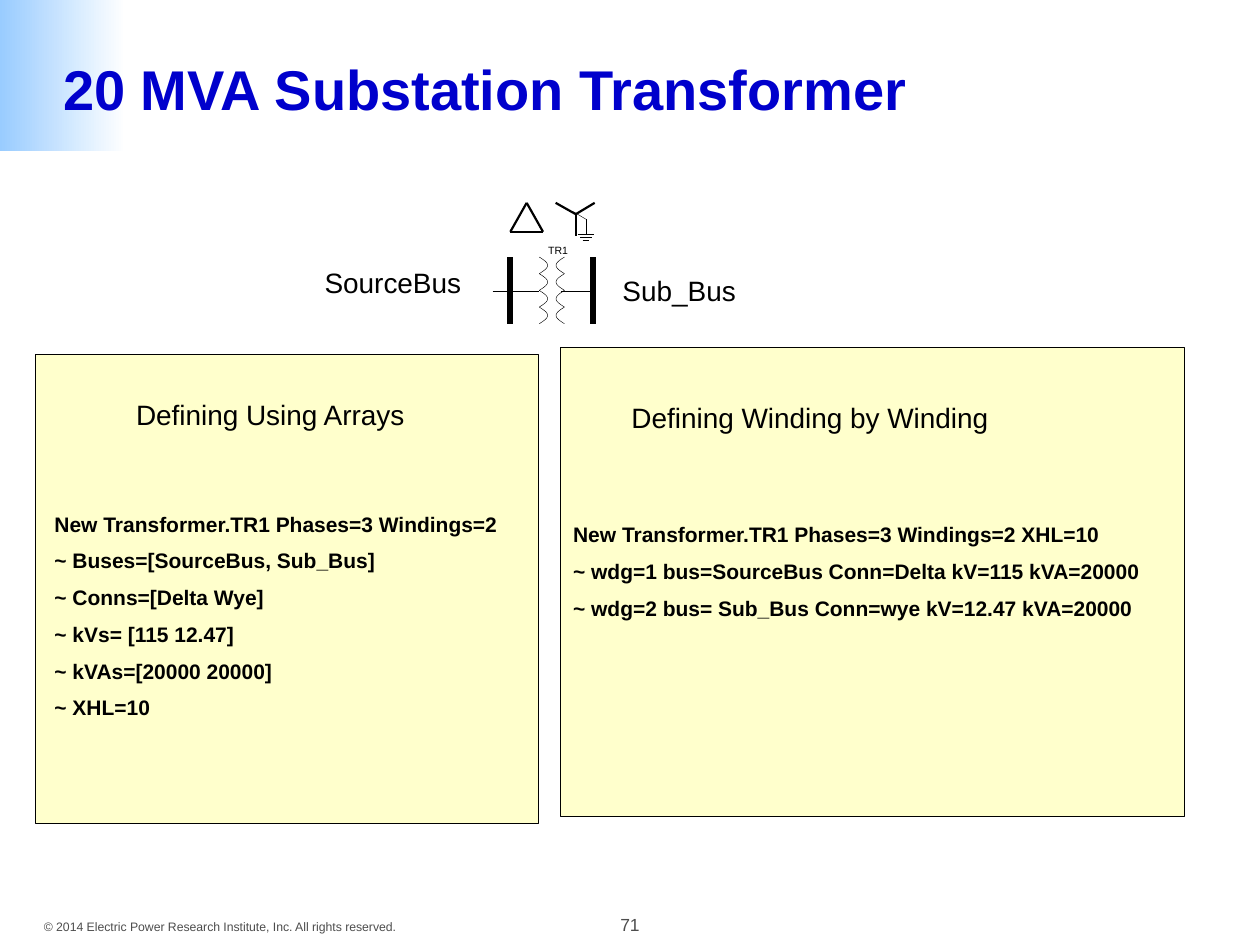
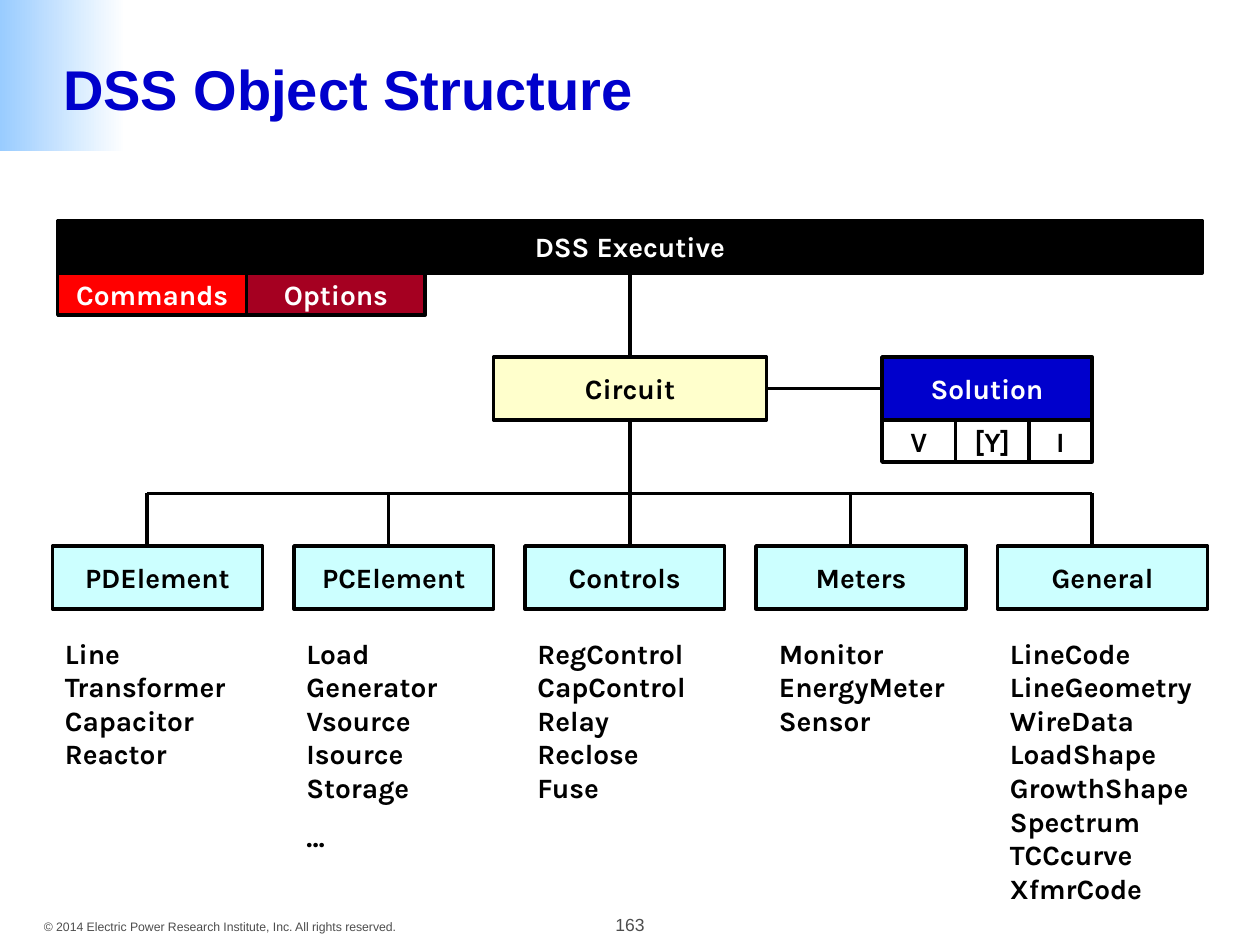
from math import pi, sin
from typing import NamedTuple, Optional

from lxml.etree import SubElement
from pptx import Presentation
from pptx.dml.color import RGBColor
from pptx.enum.shapes import MSO_CONNECTOR, MSO_SHAPE
from pptx.enum.text import MSO_ANCHOR, PP_ALIGN
from pptx.oxml.ns import qn
from pptx.util import Emu, Inches, Pt

COLUMNS, ROWS = 120, 90
SLIDE_WIDTH, SLIDE_HEIGHT = Inches(10), Inches(7.5)

COLORS = {
    "white": "FFFFFF", "black": "000000", "sky": "99CCFF", "title": "0000CC",
    "footer": "4D4D4D", "cream": "FFFFCC", "aqua": "CCFFFF",
    "red": "FF0000", "crimson": "A50021",
}
COPYRIGHT = "© 2014 Electric Power Research Institute, Inc. All rights reserved."


class Area(NamedTuple):
    """A rectangle in grid columns and rows."""
    left: float
    top: float
    width: float
    height: float


class Style(NamedTuple):
    size: float
    font: str = "Arial"
    color: str = "black"
    bold: bool = False
    align: PP_ALIGN = PP_ALIGN.LEFT
    space_before: float = 0


class Box(NamedTuple):
    text: str
    area: Area
    fill: Optional[str]
    color: str = "black"


class Label(NamedTuple):
    text: str
    area: Area
    style: Style
    wrap: bool = True
    inset: bool = True


class Line(NamedTuple):
    x1: float
    y1: float
    x2: float
    y2: float
    weight: float


class ObjectClass(NamedTuple):
    """A class box, the column of its drop line and the list of its members."""
    name: str
    left: float
    width: float
    drop: Optional[float]
    list_left: float
    list_width: float
    members: list[str]
    more: str = ""


def column(value: float) -> Emu:
    return Emu(round(SLIDE_WIDTH * value / COLUMNS))


def row(value: float) -> Emu:
    return Emu(round(SLIDE_HEIGHT * value / ROWS))


def place(area: Area) -> tuple[Emu, Emu, Emu, Emu]:
    return column(area.left), row(area.top), column(area.width), row(area.height)


def color(name: str) -> RGBColor:
    return RGBColor.from_string(COLORS[name])


def write(text_frame, text: str, style: Style) -> None:
    text_frame.text = text
    for index, paragraph in enumerate(text_frame.paragraphs):
        paragraph.alignment = style.align
        paragraph.space_before = Pt(style.space_before if index else 0)
        for run in paragraph.runs:
            run.font.name = style.font
            run.font.size = Pt(style.size)
            run.font.bold = style.bold
            run.font.color.rgb = color(style.color)


def add_label(slide, label: Label):
    shape = slide.shapes.add_textbox(*place(label.area))
    text_frame = shape.text_frame
    text_frame.word_wrap = label.wrap
    if not label.inset:
        text_frame.margin_left = text_frame.margin_right = 0
        text_frame.margin_top = text_frame.margin_bottom = 0
    write(text_frame, label.text, label.style)
    return shape


def add_rectangle(slide, area: Area, fill: Optional[str], weight: float):
    shape = slide.shapes.add_shape(MSO_SHAPE.RECTANGLE, *place(area))
    shape.shadow.inherit = False
    if fill:
        shape.fill.solid()
        shape.fill.fore_color.rgb = color(fill)
    else:
        shape.fill.background()
    shape.line.color.rgb = color("black")
    shape.line.width = Pt(weight)
    return shape


def add_box(slide, box: Box):
    shape = add_rectangle(slide, box.area, box.fill, 2)
    text_frame = shape.text_frame
    text_frame.word_wrap = False
    text_frame.vertical_anchor = MSO_ANCHOR.MIDDLE
    write(text_frame, box.text, Style(16, "Karla", box.color, True, PP_ALIGN.CENTER))
    return shape


def add_line(slide, line: Line):
    connector = slide.shapes.add_connector(
        MSO_CONNECTOR.STRAIGHT,
        column(line.x1), row(line.y1), column(line.x2), row(line.y2))
    connector.line.color.rgb = color("black")
    connector.line.width = Pt(line.weight)
    SubElement(connector.element.spPr, qn("a:effectLst"))
    return connector


def add_coil(slide, x: float, top: float, bottom: float, bulge: float) -> None:
    """Draw a winding as four half-turns that swell to one side of x."""
    turns, steps = 4, 16
    points = [
        (column(x + bulge * abs(sin(pi * step / steps))),
         row(top + (bottom - top) * step / (turns * steps)))
        for step in range(turns * steps + 1)
    ]
    builder = slide.shapes.build_freeform(*points[0], scale=1.0)
    builder.add_line_segments(points[1:], close=False)
    shape = builder.convert_to_shape()
    shape.shadow.inherit = False
    shape.fill.background()
    shape.line.color.rgb = color("black")
    shape.line.width = Pt(0.25)


def add_slide(presentation, title: str, number: int):
    """Add a slide with the corner band, title and footer."""
    slide = presentation.slides.add_slide(presentation.slide_layouts[5])
    band = slide.shapes.add_shape(MSO_SHAPE.RECTANGLE, *place(Area(0, 0, 12, 14.4)))
    band.shadow.inherit = False
    band.line.fill.background()
    band.fill.gradient()
    band.fill.gradient_angle = 0
    for stop, name in zip(band.fill.gradient_stops, ("sky", "white")):
        stop.color.rgb = color(name)

    heading = slide.shapes.title
    heading.element.addprevious(band.element)
    heading.left, heading.top, heading.width, heading.height = place(
        Area(4.8, 2.4, 110.4, 12))
    heading.text_frame.vertical_anchor = MSO_ANCHOR.MIDDLE
    write(heading.text_frame, title, Style(32, color="title", bold=True))

    add_label(slide, Label(str(number), Area(56, 86.5, 8, 3.25),
                           Style(10, color="footer", align=PP_ALIGN.CENTER)))
    add_label(slide, Label(COPYRIGHT, Area(3, 87, 36.25, 2.6),
                           Style(7, color="footer"), wrap=False))
    return slide


def add_transformer_symbol(slide) -> None:
    top, bottom, axis = 24.48, 30.84, 27.72
    source_bar, sub_bar = 48.6, 56.52
    primary, secondary = 51.36, 53.76
    hub_x, hub_y = 54.84, 20.4
    ground_x, ground_y = 55.8, 22.32
    delta = [(48.6, 22.08), (51.72, 22.08), (50.16, 19.32)]
    wye_tips = [(hub_x, 22.44), (56.64, 19.32), (52.92, 19.32)]

    lines = [Line(x, top, x, bottom, 3.38) for x in (source_bar, sub_bar)]
    lines += [Line(x1, axis, x2, axis, 0.25) for x1, x2 in (
        (46.92, source_bar), (source_bar, primary), (sub_bar, 53.4))]
    lines += [Line(*start, *end, 1.25)
              for start, end in zip(delta, delta[1:] + delta[:1])]
    lines += [Line(hub_x, hub_y, *tip, 1.25) for tip in wye_tips]
    lines += [Line(ground_x, 20.88, 54.6, 20.16, 0.25),
              Line(ground_x, 20.88, ground_x, ground_y, 0.25)]
    for index, half_width in enumerate((0.78, 0.54, 0.3)):
        y = ground_y + 0.3 * index
        lines.append(Line(ground_x - half_width, y, ground_x + half_width, y, 0.25))
    for line in lines:
        add_line(slide, line)

    add_coil(slide, primary, top, bottom, 0.8)
    add_coil(slide, secondary, top, bottom, -0.8)
    add_label(slide, Label("TR1", Area(52.2, 23.28, 1.92, 1.2),
                           Style(6, align=PP_ALIGN.CENTER), wrap=False, inset=False))


def build_transformer_slide(presentation) -> None:
    slide = add_slide(presentation, "20 MVA Substation Transformer", 71)
    for panel in (Area(53.4, 33.1, 59.4, 44.7), Area(3.4, 33.75, 47.9, 44.7)):
        add_rectangle(slide, panel, "cream", 0.75)
    add_transformer_symbol(slide)

    code = Style(12, bold=True, space_before=6.6)
    heading = Style(16, align=PP_ALIGN.CENTER)
    array_code = "\n".join([
        "New Transformer.TR1 Phases=3 Windings=2",
        "~ Buses=[SourceBus, Sub_Bus]",
        "~ Conns=[Delta Wye]",
        "~ kVs= [115 12.47]",
        "~ kVAs=[20000 20000]",
        "~ XHL=10",
    ])
    winding_code = "\n".join([
        "New Transformer.TR1 Phases=3 Windings=2 XHL=10",
        "~ wdg=1 bus=SourceBus Conn=Delta kV=115 kVA=20000",
        "~ wdg=2 bus= Sub_Bus Conn=wye kV=12.47 kVA=20000",
    ])
    for label in (
        Label(array_code, Area(4, 48.1, 54.4, 25.2), code),
        Label(winding_code, Area(53.4, 49.1, 62.3, 14.4), code),
        Label("Defining Using Arrays", Area(5.6, 37.3, 40.3, 4.4), heading),
        Label("Defining Winding by Winding", Area(57, 37.6, 40.3, 4.4), heading),
        Label("Sub_Bus", Area(58.1, 25.45, 22.9, 4.4), Style(16)),
        Label("SourceBus", Area(22.2, 24.7, 22.9, 4.4),
              Style(16, align=PP_ALIGN.RIGHT)),
    ):
        add_label(slide, label)


def build_structure_slide(presentation) -> None:
    slide = add_slide(presentation, "DSS Object Structure", 163)
    executive = add_box(slide, Box("DSS Executive", Area(5.5, 21, 109, 5), "black", "white"))
    circuit = add_box(slide, Box("Circuit", Area(47, 34, 26, 6), "cream"))
    solution = add_box(slide, Box("Solution", Area(84, 34, 20, 6), "title", "white"))
    for box in (
        Box("Commands", Area(5.5, 26, 18, 4), "red", "white"),
        Box("Options", Area(23.5, 26, 17, 4), "crimson", "white"),
        Box("V", Area(84, 40, 7, 4), None),
        Box("[Y]", Area(91, 40, 7, 4), None),
        Box("I", Area(98, 40, 6, 4), None),
    ):
        add_box(slide, box)

    classes = [
        ObjectClass("PDElement", 5, 20, 14, 5, 20,
                    ["Line", "Transformer", "Capacitor", "Reactor"]),
        ObjectClass("PCElement", 28, 19, 37, 28, 20,
                    ["Load", "Generator", "Vsource", "Isource", "Storage"], "…"),
        ObjectClass("Controls", 50, 19, None, 50, 20,
                    ["RegControl", "CapControl", "Relay", "Reclose", "Fuse"]),
        ObjectClass("Meters", 72, 20, 81, 73, 20,
                    ["Monitor", "EnergyMeter", "Sensor"]),
        ObjectClass("General", 95, 20, 104, 95, 23,
                    ["LineCode", "LineGeometry", "WireData", "LoadShape",
                     "GrowthShape", "Spectrum", "TCCcurve", "XfmrCode"]),
    ]
    bus_row, class_row = 47, 52
    member_style = Style(16, "Karla", bold=True, space_before=9)
    for item in classes:
        add_box(slide, Box(item.name, Area(item.left, class_row, item.width, 6), "aqua"))
        text = "\v".join(item.members) + ("\n" + item.more if item.more else "")
        height = 1.2 + 3.2 * len(item.members) + (4.9 if item.more else 0)
        add_label(slide, Label(text, Area(item.list_left, 60, item.list_width, height),
                               member_style))
        if item.drop is not None:
            add_line(slide, Line(item.drop, bus_row, item.drop, class_row, 2))

    add_line(slide, Line(14, bus_row, 104, bus_row, 2))
    trunk = add_line(slide, Line(60, 40, 60, class_row, 2))
    trunk.begin_connect(circuit, 2)
    executive_link = add_line(slide, Line(60, 26, 60, 34, 2))
    executive_link.begin_connect(executive, 2)
    executive_link.end_connect(circuit, 0)
    solution_link = add_line(slide, Line(73, 37, 84, 37, 2))
    solution_link.begin_connect(circuit, 3)
    solution_link.end_connect(solution, 1)


def main() -> None:
    presentation = Presentation()
    presentation.slide_width, presentation.slide_height = SLIDE_WIDTH, SLIDE_HEIGHT
    build_transformer_slide(presentation)
    build_structure_slide(presentation)
    presentation.save("out.pptx")


if __name__ == "__main__":
    main()
